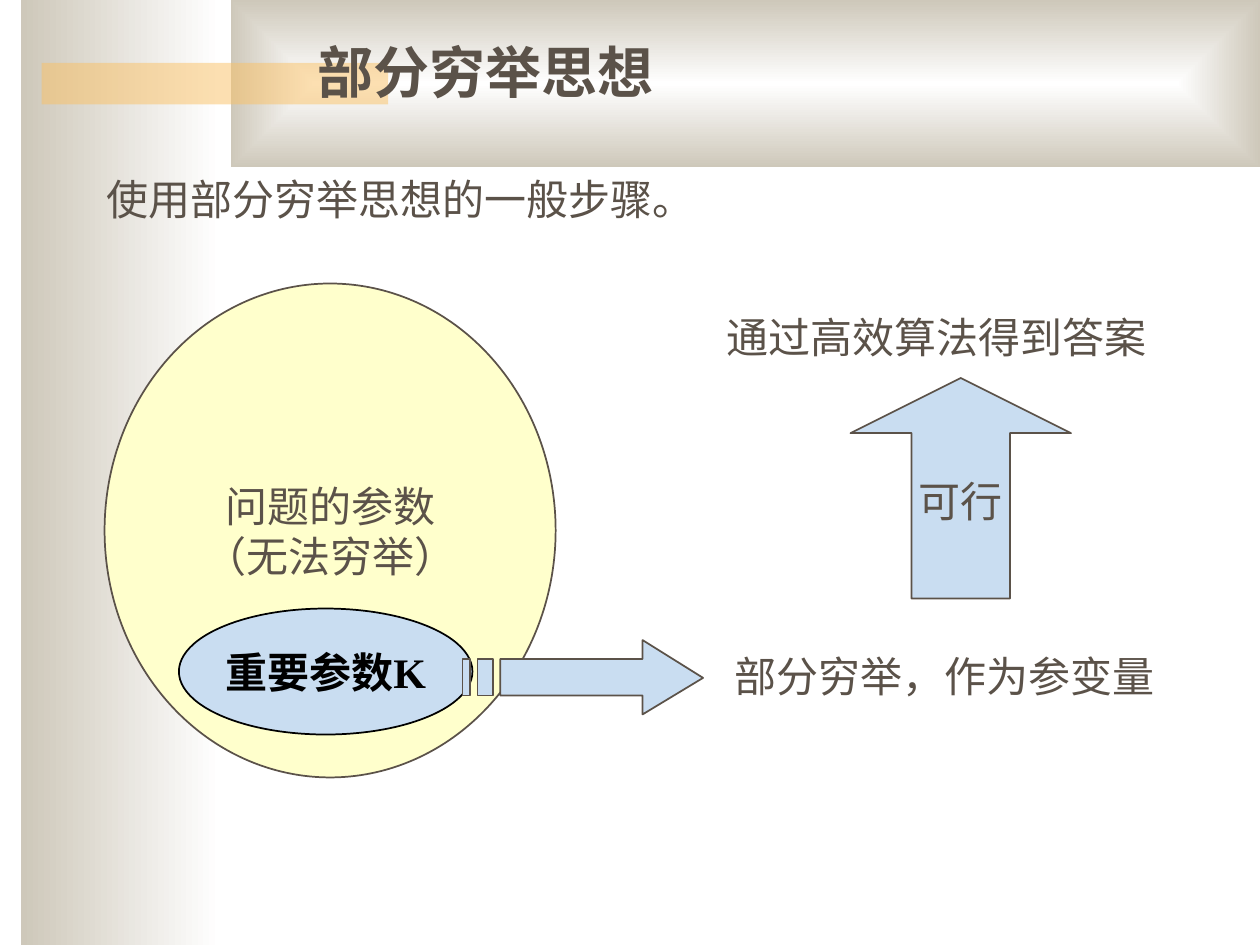
"""Build the slide on the general steps of partial enumeration."""
from lxml import etree
from pptx import Presentation
from pptx.dml.color import RGBColor
from pptx.enum.shapes import MSO_SHAPE
from pptx.enum.text import MSO_ANCHOR, MSO_AUTO_SIZE, PP_ALIGN
from pptx.oxml.ns import qn
from pptx.util import Inches, Pt

RECTANGLE, OVAL, UP_ARROW = MSO_SHAPE.RECTANGLE, MSO_SHAPE.OVAL, MSO_SHAPE.UP_ARROW
LEFT, CENTER = PP_ALIGN.LEFT, PP_ALIGN.CENTER
TOP, MIDDLE = MSO_ANCHOR.TOP, MSO_ANCHOR.MIDDLE
FIT_SHAPE = MSO_AUTO_SIZE.SHAPE_TO_FIT_TEXT
WHITE, STONE, BROWN, BLACK = "FFFFFF", "CEC8BA", "5B5249", "000000"
ORANGE, YELLOW, BLUE = "FAC164", "FFFFCC", "C9DDF1"


def paint(shape, fill, line=None):
    shape.shadow.inherit = False
    shape.fill.solid()
    shape.fill.fore_color.rgb = RGBColor.from_string(fill)
    if line:
        shape.line.color.rgb = RGBColor.from_string(line)
        shape.line.width = Pt(1)
    else:
        shape.line.fill.background()


def write(shape, text, align, anchor, size=24, color=BROWN, bold=False, wrap=False):
    text_frame = shape.text_frame
    text_frame.text = text
    text_frame.word_wrap = wrap
    text_frame.vertical_anchor = anchor
    for paragraph in text_frame.paragraphs:
        paragraph.alignment = align
        for run in paragraph.runs:
            run.font.name = "Times New Roman"
            run.font.size = Pt(size)
            run.font.bold = bold
            run.font.color.rgb = RGBColor.from_string(color)


presentation = Presentation()
presentation.slide_width, presentation.slide_height = Inches(10), Inches(7.5)
slide = presentation.slides.add_slide(presentation.slide_layouts[5])
shapes = slide.shapes

bands = []
for box in [(0.17, 0, 1.58, 7.5), (1.83, 0, 8.17, 1.33), (0.33, 0.5, 2.75, 0.33)]:
    band = shapes.add_shape(RECTANGLE, *map(Inches, box))
    paint(band, ORANGE)
    bands.append(band)
side_band, header_band, accent_bar = bands

for band in (side_band, header_band):
    band.fill.gradient()
    band.fill.gradient_angle = 180
    for stop, color, position in zip(band.fill.gradient_stops, (WHITE, STONE), (0, 1)):
        stop.color.rgb = RGBColor.from_string(color)
        stop.position = position

gradient = header_band.element.spPr.find(qn("a:gradFill"))
gradient.remove(gradient.find(qn("a:lin")))
center_path = etree.SubElement(gradient, qn("a:path"), {"path": "rect"})
etree.SubElement(center_path, qn("a:fillToRect"), dict.fromkeys("ltrb", "50000"))

accent_color = accent_bar.element.spPr.find(qn("a:solidFill"))[0]
etree.SubElement(accent_color, qn("a:alpha"), {"val": "50000"})

title = shapes.title
title.left, title.top, title.width, title.height = map(Inches, (2.42, 0.25, 6, 0.64))
write(title, "部分穷举思想", LEFT, TOP, size=32, bold=True, wrap=True)
title.text_frame.auto_size = FIT_SHAPE
title.element.getparent().append(title.element)

for kind, box, fill, line, text, color, bold in [
    (OVAL, (0.83, 2.25, 3.58, 3.92), YELLOW, BROWN, "问题的参数\n（无法穷举）", BROWN, False),
    (OVAL, (1.42, 4.83, 2.33, 1), BLUE, BLACK, "重要参数K", BLACK, True),
    (UP_ARROW, (6.75, 3, 1.75, 1.75), BLUE, BROWN, "可行", BROWN, False),
]:
    shape = shapes.add_shape(kind, *map(Inches, box))
    paint(shape, fill, line)
    write(shape, text, CENTER, MIDDLE, color=color, bold=bold)
    if kind == UP_ARROW:
        shape.adjustments[0], shape.adjustments[1] = 0.446, 0.25

shaft_top, shaft_bottom = 5.23, 5.52
arrow_head = [(5.1, shaft_top), (5.1, 5.08), (5.58, 5.38), (5.1, 5.67), (5.1, shaft_bottom)]
outlines = [[(3.97, shaft_top), *arrow_head, (3.97, shaft_bottom)]]
for left, right in [(3.67, 3.73), (3.79, 3.91)]:
    outlines.append([(left, shaft_top), (right, shaft_top),
                     (right, shaft_bottom), (left, shaft_bottom)])
builder = shapes.build_freeform(*map(Inches, outlines[0][0]))
for index, outline in enumerate(outlines):
    points = [(Inches(x), Inches(y)) for x, y in outline]
    if index:
        builder.move_to(*points[0])
    builder.add_line_segments(points[1:], close=True)
paint(builder.convert_to_shape(), BLUE, BROWN)

for left, top, width, text in [
    (5.73, 5.11, 3.53, "部分穷举，作为参变量"),
    (5.67, 2.42, 3.53, "通过高效算法得到答案"),
    (0.75, 1.33, 4.86, "使用部分穷举思想的一般步骤。"),
]:
    label = shapes.add_textbox(Inches(left), Inches(top), Inches(width), Inches(0.5))
    write(label, text, LEFT, TOP)
    label.text_frame.auto_size = FIT_SHAPE

presentation.save("out.pptx")
